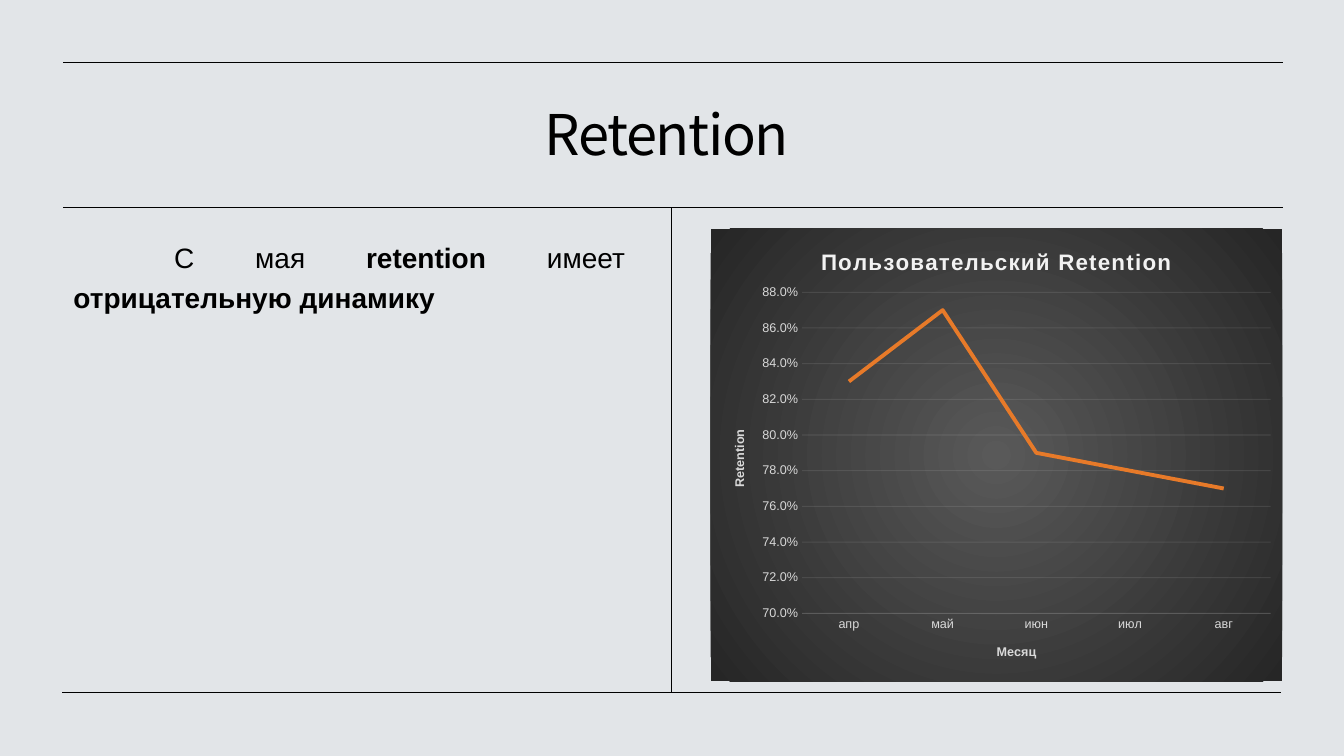
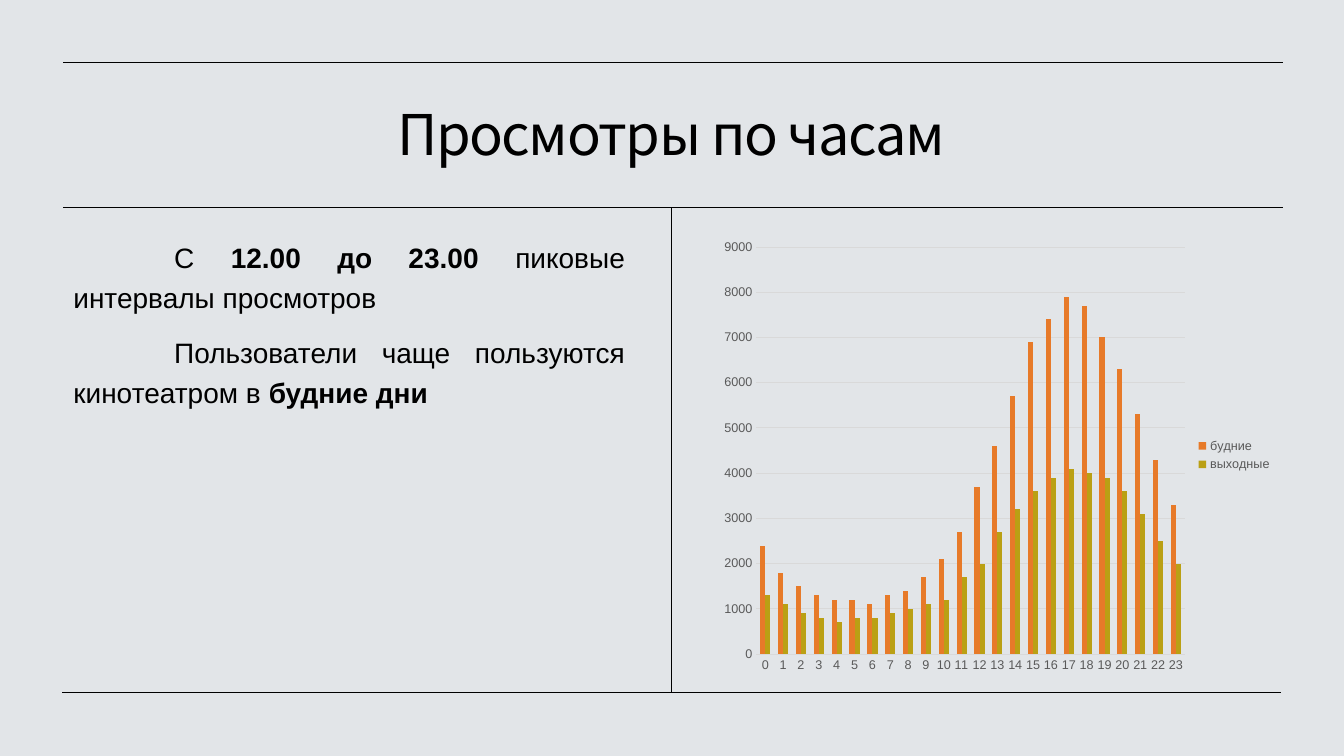
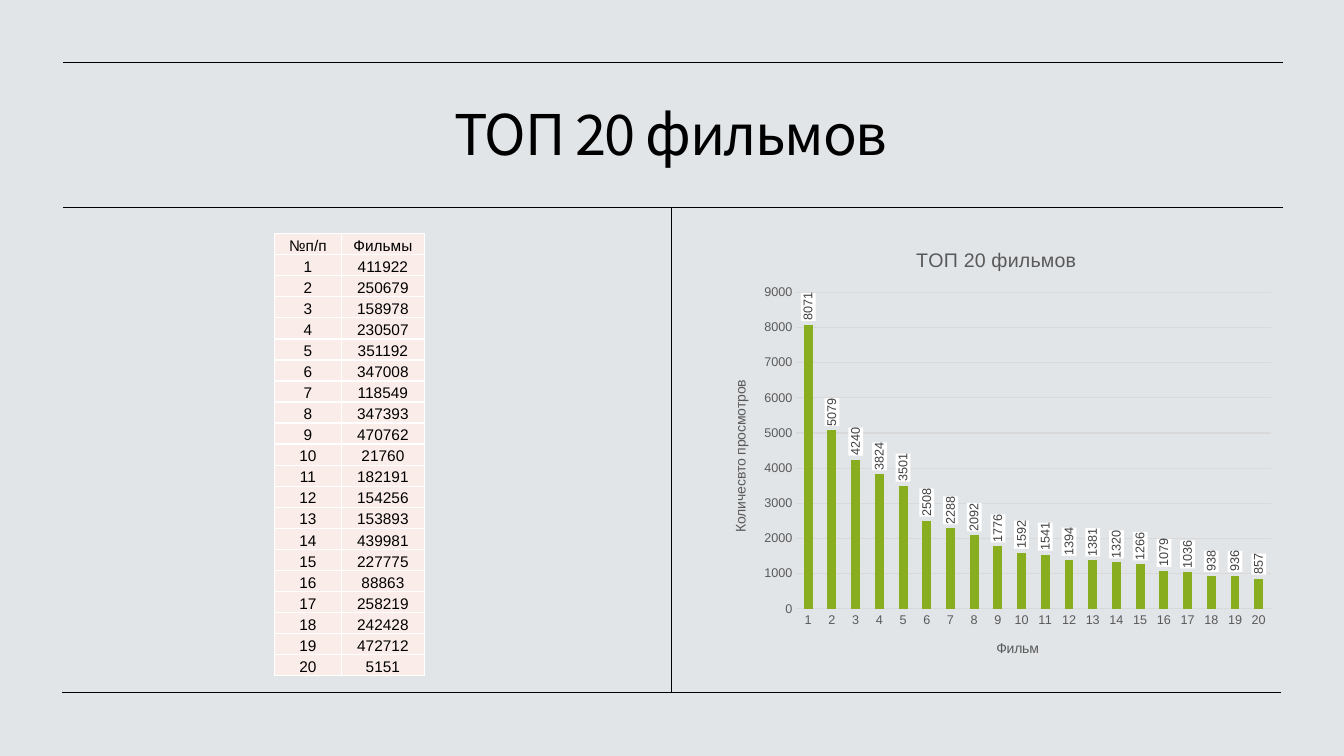
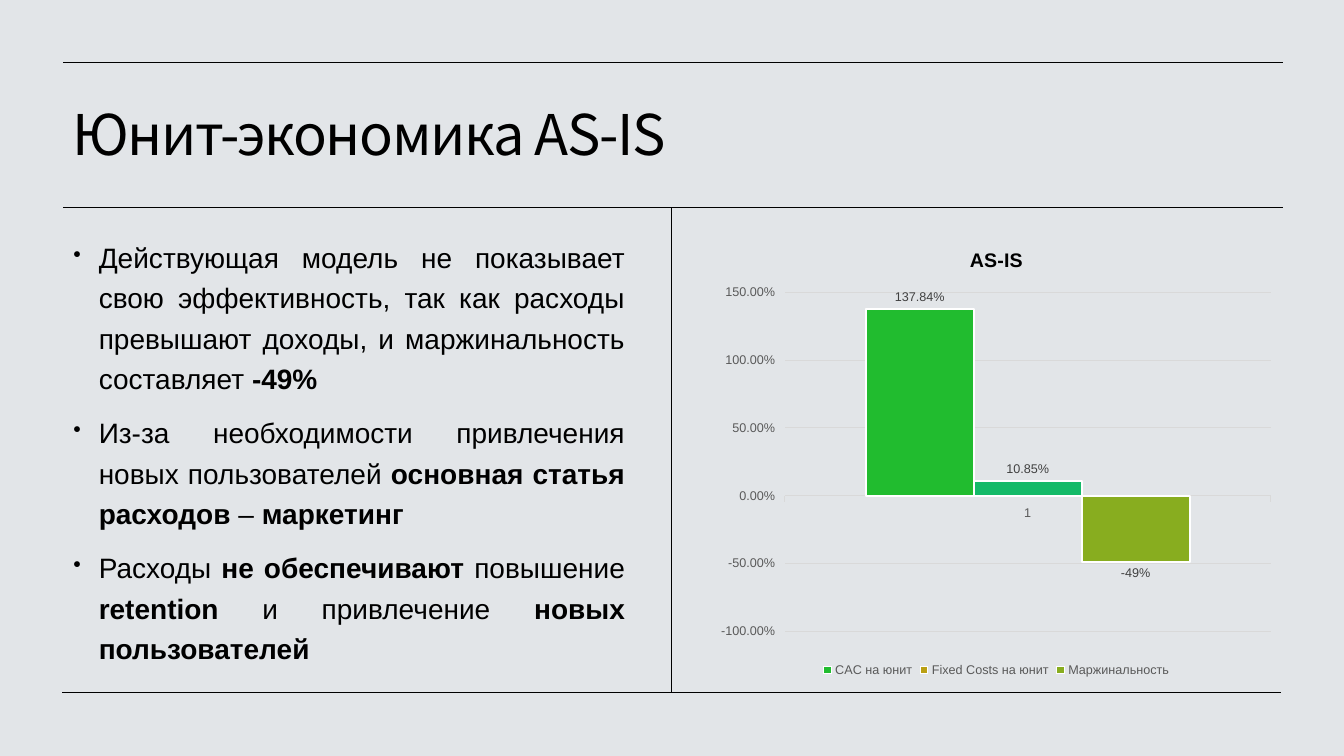
from dataclasses import dataclass

from lxml import etree
from pptx import Presentation
from pptx.chart.data import CategoryChartData
from pptx.dml.color import RGBColor
from pptx.enum.chart import XL_CHART_TYPE, XL_LABEL_POSITION, XL_LEGEND_POSITION, XL_TICK_MARK
from pptx.enum.shapes import MSO_CONNECTOR
from pptx.enum.text import MSO_ANCHOR, PP_ALIGN
from pptx.oxml import parse_xml
from pptx.oxml.ns import nsdecls, qn
from pptx.util import Cm, Pt

# Enum members
LINE, COLUMNS = XL_CHART_TYPE.LINE, XL_CHART_TYPE.COLUMN_CLUSTERED
LEGEND_RIGHT, LEGEND_BOTTOM = XL_LEGEND_POSITION.RIGHT, XL_LEGEND_POSITION.BOTTOM
OUTSIDE_END = XL_LABEL_POSITION.OUTSIDE_END
TICK_NONE, TICK_OUT = XL_TICK_MARK.NONE, XL_TICK_MARK.OUTSIDE
STRAIGHT = MSO_CONNECTOR.STRAIGHT
MIDDLE, BOTTOM = MSO_ANCHOR.MIDDLE, MSO_ANCHOR.BOTTOM
LEFT, CENTER, JUSTIFY = PP_ALIGN.LEFT, PP_ALIGN.CENTER, PP_ALIGN.JUSTIFY

# Colours
BACKGROUND = RGBColor(0xE2, 0xE5, 0xE8)
BLACK = RGBColor(0x00, 0x00, 0x00)
WHITE = RGBColor(0xFF, 0xFF, 0xFF)
PALE_PINK = RGBColor(0xFA, 0xEC, 0xE8)
DARK_GRAY = RGBColor(0x40, 0x40, 0x40)
GRAY = RGBColor(0x59, 0x59, 0x59)
LIGHT_GRAY = RGBColor(0xD9, 0xD9, 0xD9)
OFF_WHITE = RGBColor(0xF2, 0xF2, 0xF2)
CHARCOAL = RGBColor(0x26, 0x26, 0x26)
ORANGE = RGBColor(0xE7, 0x7A, 0x29)
MUSTARD = RGBColor(0xBA, 0xA0, 0x14)
OLIVE = RGBColor(0x88, 0xAD, 0x1F)
GREEN = RGBColor(0x21, 0xBC, 0x2F)
EMERALD = RGBColor(0x14, 0xBA, 0x68)

# Fonts
TITLE_FONT, BODY_FONT = "Noto Sans CJK KR", "Arial"

# Places: left, top, width, height
TITLE_BOX = (Cm(1.57), Cm(1.98), Cm(30.68), Cm(2.95))
BODY_BOX = (Cm(1.6), Cm(5.77), Cm(14.4), Cm(11.4))
CHART_BOX = (Cm(17.91), Cm(5.77), Cm(14.4), Cm(11.4))

# Frame lines: x1, y1, x2, y2
FRAME_LINES = [
    (Cm(1.57), Cm(17.45), Cm(32.28), Cm(17.45)),
    (Cm(1.6), Cm(5.23), Cm(32.33), Cm(5.23)),
    (Cm(1.6), Cm(1.57), Cm(32.33), Cm(1.57)),
    (Cm(16.93), Cm(5.23), Cm(16.93), Cm(17.45)),
]


@dataclass
class ChartLook:
    """What differs between the charts; plot is x, y, w, h as shares."""
    plot: tuple
    scale: tuple
    value_format: str = "General"
    title: str = ""
    title_size: int = 14
    title_bold: bool = False
    title_color: RGBColor = GRAY
    axis_titles: tuple = ()
    axis_title_size: int = 10
    axis_title_bold: bool = False
    text_color: RGBColor = GRAY
    line_color: RGBColor = LIGHT_GRAY
    tick: XL_TICK_MARK = TICK_NONE
    legend: XL_LEGEND_POSITION = None
    gap: int = 150
    overlap: int = 0


def style(font, size, color, bold=False, name=BODY_FONT):
    font.name, font.size, font.bold = name, Pt(size), bold
    font.color.rgb = color


def fade(line, percent):
    """Make a line's solid colour partly transparent."""
    for color in line.fill._xPr.iter(qn("a:srgbClr")):
        etree.SubElement(color, qn("a:alpha")).set("val", str(percent * 1000))


class Deck:
    def __init__(self):
        self.prs = Presentation()
        self.prs.slide_width, self.prs.slide_height = Cm(33.87), Cm(19.05)
        fill = self.prs.slide_master.background.fill
        fill.solid()
        fill.fore_color.rgb = BACKGROUND
        self.slide = None

    def new_slide(self, title, align=CENTER):
        self.slide = self.prs.slides.add_slide(self.prs.slide_layouts[6])
        for ends in FRAME_LINES:
            self.rule(*ends)
        self.title(title, align)

    def rule(self, x1, y1, x2, y2):
        rule = self.slide.shapes.add_connector(STRAIGHT, x1, y1, x2, y2)
        rule.line.color.rgb = BLACK
        rule.line.width = Pt(0.5)
        etree.SubElement(rule._element.spPr, qn("a:effectLst"))

    def title(self, text, align):
        frame = self.slide.shapes.add_textbox(*TITLE_BOX).text_frame
        frame.word_wrap, frame.vertical_anchor = True, MIDDLE
        frame.text = text
        paragraph = frame.paragraphs[0]
        paragraph.alignment, paragraph.line_spacing = align, 0.9
        for run in paragraph.runs:
            style(run.font, 40, BLACK, name=TITLE_FONT)
            run.font._element.set("spc", "-100")

    def body(self, paragraphs, bullets=False):
        """Add justified text; **marks** enclose bold parts."""
        frame = self.slide.shapes.add_textbox(*BODY_BOX).text_frame
        frame.word_wrap = True
        for index, text in enumerate(paragraphs):
            paragraph = frame.add_paragraph() if index else frame.paragraphs[0]
            paragraph.alignment, paragraph.line_spacing = JUSTIFY, 1.2
            paragraph.space_before = Pt(10)
            for part, words in enumerate(text.split("**")):
                if words:
                    run = paragraph.add_run()
                    run.text = words
                    style(run.font, 20, BLACK, bold=part % 2 == 1)
            properties = paragraph._p.get_or_add_pPr()
            if bullets:
                properties.set("marL", str(Cm(0.64)))
                properties.set("indent", str(-Cm(0.64)))
                etree.SubElement(properties, qn("a:buSzPct")).set("val", "80000")
                etree.SubElement(properties, qn("a:buChar")).set("char", "•")
            else:
                properties.set("indent", str(Cm(2.54)))

    def table(self, rows, left, top, widths, row_height):
        table = self.slide.shapes.add_table(
            len(rows), len(widths), left, top, sum(widths), row_height * len(rows)).table
        table.first_row = table.horz_banding = False
        for column, width in zip(table.columns, widths):
            column.width = width
        for row, values in zip(table.rows, rows):
            row.height = row_height
            for cell, value in zip(row.cells, values):
                self.fill_cell(cell, str(value))

    def fill_cell(self, cell, text):
        cell.margin_left = cell.margin_right = cell.margin_top = Cm(0.02)
        cell.margin_bottom = 0
        cell.vertical_anchor = BOTTOM
        cell.text = text
        paragraph = cell.text_frame.paragraphs[0]
        paragraph.alignment = CENTER
        style(paragraph.runs[0].font, 11, BLACK)
        cell.fill.solid()
        cell.fill.fore_color.rgb = PALE_PINK
        properties = cell._tc.get_or_add_tcPr()
        for place, side in enumerate("LRTB"):
            properties.insert(place, parse_xml(
                f'<a:ln{side} {nsdecls("a")} w="12700"><a:solidFill>'
                f'<a:srgbClr val="{WHITE}"/></a:solidFill></a:ln{side}>'))

    def chart(self, kind, categories, series, look):
        """Add a chart; series holds (name, values, colour) triples."""
        data = CategoryChartData()
        data.categories = categories
        for name, values, _ in series:
            data.add_series(name, values)
        chart = self.slide.shapes.add_chart(kind, *CHART_BOX, data).chart
        style(chart.font, 10, BLACK)
        plot = chart.plots[0]
        plot.vary_by_categories = False
        for item, (_, _, color) in zip(plot.series, series):
            if kind == LINE:
                item.smooth = False
                item.format.line.color.rgb = color
                item.format.line.width = Pt(2.75)
            else:
                item.invert_if_negative = False
                item.format.fill.solid()
                item.format.fill.fore_color.rgb = color
        if kind == COLUMNS:
            plot.gap_width, plot.overlap = look.gap, look.overlap
        self.chart_texts(chart, look)
        self.chart_axes(chart, look)
        self.place_plot(chart, look.plot)
        return chart

    def chart_texts(self, chart, look):
        chart.has_title = bool(look.title)
        if look.title:
            self.chart_title(chart.chart_title, look.title, look.title_size,
                             look.title_color, look.title_bold)
        for axis, text in zip((chart.category_axis, chart.value_axis), look.axis_titles):
            self.chart_title(axis.axis_title, text, look.axis_title_size,
                             look.text_color, look.axis_title_bold)
        chart.has_legend = look.legend is not None
        if chart.has_legend:
            chart.legend.position = look.legend
            chart.legend.include_in_layout = False
            style(chart.legend.font, 9, GRAY)

    def chart_title(self, title, text, size, color, bold):
        title.text_frame.text = text
        style(title.text_frame.paragraphs[0].runs[0].font, size, color, bold)

    def chart_axes(self, chart, look):
        values, categories = chart.value_axis, chart.category_axis
        values.minimum_scale, values.maximum_scale, values.major_unit = look.scale
        values.tick_labels.number_format = look.value_format
        values.tick_labels.number_format_is_linked = False
        for axis in (values, categories):
            axis.major_tick_mark, axis.minor_tick_mark = look.tick, TICK_NONE
            style(axis.tick_labels.font, 9, look.text_color)
        values.has_major_gridlines = True
        values.format.line.fill.background()
        for line in (values.major_gridlines.format.line, categories.format.line):
            line.color.rgb = look.line_color
            line.width = Pt(0.75)
            if look.line_color == OFF_WHITE:
                fade(line, 10)

    def place_plot(self, chart, shares):
        area = chart.element.find(".//" + qn("c:plotArea"))
        for old in area.findall(qn("c:layout")):
            area.remove(old)
        sizes = "".join(f'<c:{key} val="{share}"/>' for key, share in zip("xywh", shares))
        area.insert(0, parse_xml(
            f'<c:layout {nsdecls("c")}><c:manualLayout><c:layoutTarget val="inner"/>'
            f'<c:xMode val="edge"/><c:yMode val="edge"/>{sizes}</c:manualLayout></c:layout>'))

    def dark_backdrop(self, chart):
        """Fill the chart with a gradient from its centre."""
        chart.element.find(qn("c:chart")).addnext(parse_xml(
            f'<c:spPr {nsdecls("c", "a")}><a:gradFill><a:gsLst>'
            f'<a:gs pos="0"><a:srgbClr val="{GRAY}"/></a:gs>'
            f'<a:gs pos="100000"><a:srgbClr val="{CHARCOAL}"/></a:gs></a:gsLst>'
            '<a:path path="circle"><a:fillToRect l="50000" t="50000" r="50000" b="50000"/>'
            '</a:path></a:gradFill><a:ln><a:noFill/></a:ln></c:spPr>'))

    def value_labels(self, series, number_format):
        labels = series.data_labels
        labels.show_value, labels.position = True, OUTSIDE_END
        labels.number_format, labels.number_format_is_linked = number_format, False
        style(labels.font, 9, DARK_GRAY)

    def upright_white_labels(self, chart):
        for labels in chart.element.iter(qn("c:dLbls")):
            text = labels.find(qn("c:txPr"))
            text.find(qn("a:bodyPr")).set("rot", "-5400000")
            text.find(qn("a:bodyPr")).set("vert", "horz")
            text.addprevious(parse_xml(
                f'<c:spPr {nsdecls("c", "a")}><a:solidFill><a:srgbClr val="{WHITE}"/>'
                '</a:solidFill><a:ln><a:noFill/></a:ln></c:spPr>'))


def retention(deck):
    deck.new_slide("Retention\t")
    deck.body(["С мая **retention **имеет **отрицательную динамику**"])
    look = ChartLook(
        plot=(0.16, 0.14, 0.82, 0.71), scale=(0.7, 0.88, 0.02), value_format="0.0%",
        title="Пользовательский Retention", title_size=16, title_bold=True,
        title_color=OFF_WHITE, axis_titles=("Месяц", "Retention"), axis_title_size=9,
        axis_title_bold=True, text_color=LIGHT_GRAY, line_color=OFF_WHITE)
    chart = deck.chart(LINE, ["апр", "май", "июн", "июл", "авг"],
                       [("Series 1", [0.83, 0.87, 0.79, 0.78, 0.77], ORANGE)], look)
    chart.chart_title.text_frame.paragraphs[0].runs[0].font._element.set("spc", "100")
    deck.dark_backdrop(chart)


def views_by_hour(deck):
    deck.new_slide("Просмотры по часам")
    deck.body(["С **12.00 до 23.00 **пиковые интервалы просмотров",
               "Пользователи чаще пользуются кинотеатром в **будние дни**"])
    weekdays = [2400, 1800, 1500, 1300, 1200, 1200, 1100, 1300, 1400, 1700, 2100, 2700,
                3700, 4600, 5700, 6900, 7400, 7900, 7700, 7000, 6300, 5300, 4300, 3300]
    weekends = [1300, 1100, 900, 800, 700, 800, 800, 900, 1000, 1100, 1200, 1700,
                2000, 2700, 3200, 3600, 3900, 4100, 4000, 3900, 3600, 3100, 2500, 2000]
    look = ChartLook(plot=(0.08, 0.04, 0.75, 0.9), scale=(0, 9000, 1000), legend=LEGEND_RIGHT)
    deck.chart(COLUMNS, [str(hour) for hour in range(24)],
               [("будние", weekdays, ORANGE), ("выходные", weekends, MUSTARD)], look)


def top_films(deck):
    deck.new_slide("ТОП 20 фильмов")
    films = [411922, 250679, 158978, 230507, 351192, 347008, 118549, 347393, 470762, 21760,
             182191, 154256, 153893, 439981, 227775, 88863, 258219, 242428, 472712, 5151]
    views = [8071, 5079, 4240, 3824, 3501, 2508, 2288, 2092, 1776, 1592,
             1541, 1394, 1381, 1320, 1266, 1079, 1036, 938, 936, 857]
    deck.table([("№п/п", "Фильмы"), *enumerate(films, 1)],
               Cm(6.91), Cm(5.89), (Cm(1.7), Cm(2.08)), Cm(0.53))
    look = ChartLook(
        plot=(0.15, 0.14, 0.83, 0.7), scale=(0, 9000, 1000), value_format="0",
        title="ТОП 20 фильмов", axis_titles=("Фильм", "Количесвто просмотров"),
        gap=164, overlap=-27)
    chart = deck.chart(COLUMNS, [str(rank) for rank in range(1, 21)],
                       [("Series 1", views, OLIVE)], look)
    deck.value_labels(chart.plots[0].series[0], "0")
    deck.upright_white_labels(chart)


def unit_economics(deck):
    deck.new_slide("Юнит-экономика AS-IS", LEFT)
    deck.body([
        "Действующая модель не показывает свою эффективность, так как расходы "
        "превышают доходы, и маржинальность составляет **-49%**",
        "Из-за необходимости привлечения новых пользователей "
        "**основная статья расходов **– **маркетинг**",
        "Расходы **не обеспечивают **повышение **retention** и привлечение "
        "**новых пользователей**",
    ], bullets=True)
    look = ChartLook(
        plot=(0.13, 0.14, 0.85, 0.75), scale=(-1, 1.5, 0.5), value_format="0.00%",
        title="AS-IS", title_bold=True, title_color=BLACK, tick=TICK_OUT,
        legend=LEGEND_BOTTOM)
    chart = deck.chart(COLUMNS, ["1"], [
        ("CAC на юнит", [1.3784], GREEN),
        ("Fixed Costs на юнит", [0.1085], MUSTARD),
        ("Маржинальность", [-0.49], OLIVE)], look)
    bars = chart.plots[0].series
    fixed_costs = bars[1].points[0].format
    fixed_costs.fill.solid()
    fixed_costs.fill.fore_color.rgb = EMERALD
    for outline in [fixed_costs.line, *(bar.format.line for bar in bars)]:
        outline.color.rgb = WHITE
        outline.width = Pt(1.5)
    for bar, number_format in zip(bars, ("0.00%", "0.00%", "0%")):
        deck.value_labels(bar, number_format)


def main():
    deck = Deck()
    for build in (retention, views_by_hour, top_films, unit_economics):
        build(deck)
    deck.prs.save("out.pptx")


if __name__ == "__main__":
    main()
